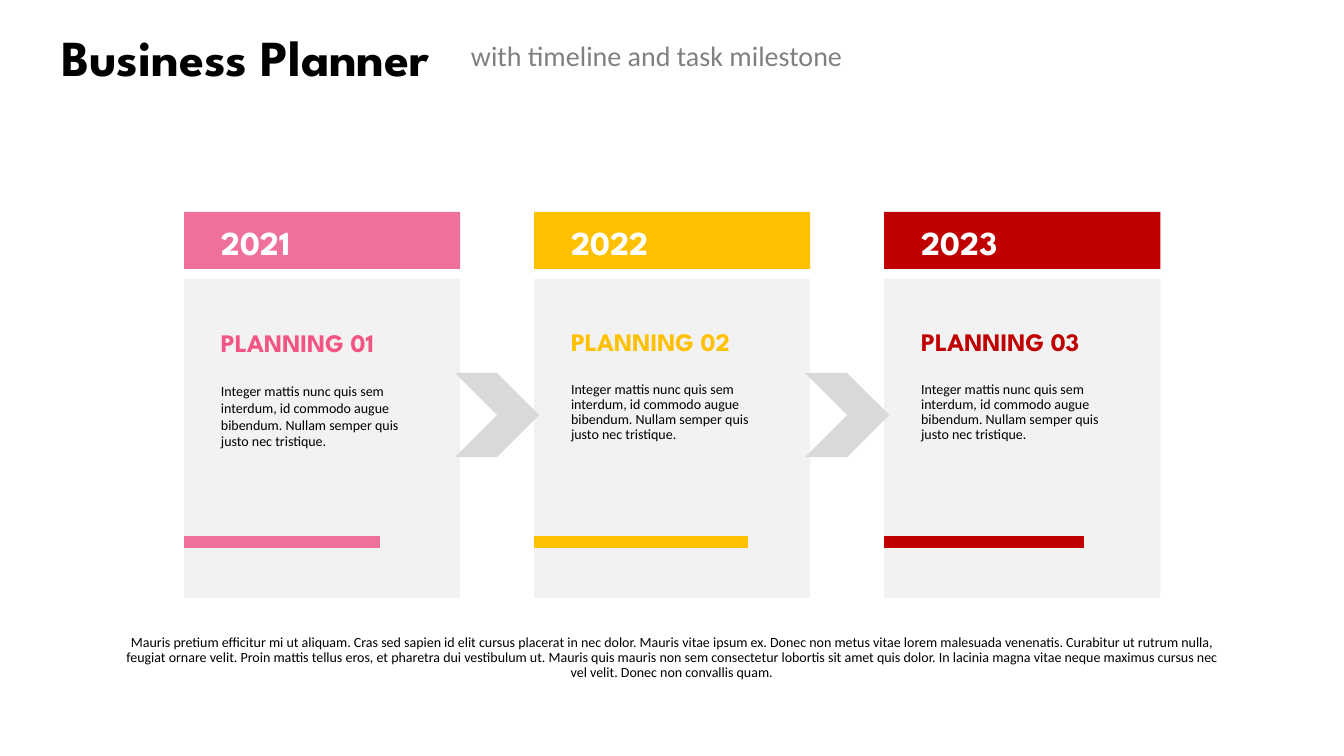
"""Build the Business Planner slide with three yearly cards."""
from lxml import etree
from pptx import Presentation
from pptx import util as u
from pptx.dml.color import RGBColor
from pptx.enum import shapes, text

TASK = ("Integer mattis nunc quis sem interdum, id commodo augue bibendum. "
        "Nullam semper quis justo nec tristique.")
NOTE = ("Mauris pretium efficitur mi ut aliquam. Cras sed sapien id elit cursus placerat in nec dolor. "
        "Mauris vitae ipsum ex. Donec non metus vitae lorem malesuada venenatis. Curabitur ut rutrum nulla, "
        "feugiat ornare velit. Proin mattis tellus eros, et pharetra dui vestibulum ut. Mauris quis mauris "
        "non sem consectetur lobortis sit amet quis dolor. In lacinia magna vitae neque maximus cursus nec "
        "vel velit. Donec non convallis quam.")
MID, TOP = text.MSO_ANCHOR.MIDDLE, text.MSO_ANCHOR.TOP
LEFT, MIDST = text.PP_ALIGN.LEFT, text.PP_ALIGN.CENTER
CARDS = [
    ("2021", "PLANNING 01", "EF709D", "F25484", 184, MID, 1.0),
    ("2022", "PLANNING 02", "FFC000", "FFC000", 202, TOP, 0.9),
    ("2023", "PLANNING 03", "C00000", "C00000", 188, TOP, 0.9),
]
HEAD = {"name": "League Spartan", "bold": True}
BODY = {"name": "Calibri", "bold": False}
X, STEP, WIDE = 184, 350, 276
PX = 914400 / 100.8

deck = Presentation()
deck.slide_width, deck.slide_height = u.Inches(13.33), u.Inches(7.5)
page = deck.slides.add_slide(deck.slide_layouts[6])


def emu(*px):
    """Turn pixel lengths into EMU."""
    return [u.Emu(round(n * PX)) for n in px]


def hue(code):
    """Turn a hex string into a colour."""
    return RGBColor.from_string(code)


def block(kind, box, fill):
    """Add a plain filled shape."""
    item = page.shapes.add_shape(kind, *emu(*box))
    item.shadow.inherit = False
    item.fill.solid()
    item.fill.fore_color.rgb = hue(fill)
    item.line.fill.background()


def label(words, box, size, face, color, anchor=TOP, align=LEFT, space=1.0):
    """Add a wrapped text box with one paragraph."""
    frame = page.shapes.add_textbox(*emu(*box)).text_frame
    frame.word_wrap = True
    frame.vertical_anchor = anchor
    para = frame.paragraphs[0]
    para.text = words
    para.alignment = align
    para.line_spacing = space
    font = para.runs[0].font
    for key, value in {**face, "size": u.Pt(size)}.items():
        setattr(font, key, value)
    font.color.rgb = hue(color)


def bar(x, y, length, color):
    """Add a thick level line with square ends."""
    item = page.shapes.add_connector(shapes.MSO_CONNECTOR.STRAIGHT, *emu(x, y, x + length, y))
    item.line.width = u.Pt(8.75)
    item.line.color.rgb = hue(color)
    item.line._get_or_add_ln().set("cap", "sq")
    props = item._element.spPr
    etree.SubElement(props, props.tag.replace("presentationml", "drawingml").split("}")[0] + "}effectLst")


label("Business Planner", (32, 26, 427, 60), 36, HEAD, "000000", MID, MIDST)
label("with timeline and task milestone", (461, 33, 474, 44), 20, BODY, "808080", MID)
label(NOTE, (112, 630, 1119, 61), 10, BODY, "000000", TOP, MIDST, 0.9)

RECT, ARROW = shapes.MSO_SHAPE.RECTANGLE, shapes.MSO_SHAPE.CHEVRON
for i, (year, plan, fill, ink, done, anchor, space) in enumerate(CARDS):
    x = X + i * STEP
    inner = x + 27
    block(RECT, (x, 212, WIDE, 57), fill)
    block(RECT, (x, 279, WIDE, 319), "F2F2F2")
    label(year, (inner, 222, 222, 37), 24, HEAD, "FFFFFF", space=0.9)
    label(plan, (inner, 325, 205, 34), 18, HEAD, ink, anchor, space=space)
    label(TASK, (inner, 377, 222, 78), 10, BODY, "000000", anchor, space=space)
    bar(x + 6, 542, done, fill)

for i in range(len(CARDS) - 1):
    block(ARROW, (X + i * STEP + WIDE - 5, 373, 84, 84), "D9D9D9")

deck.save("out.pptx")
